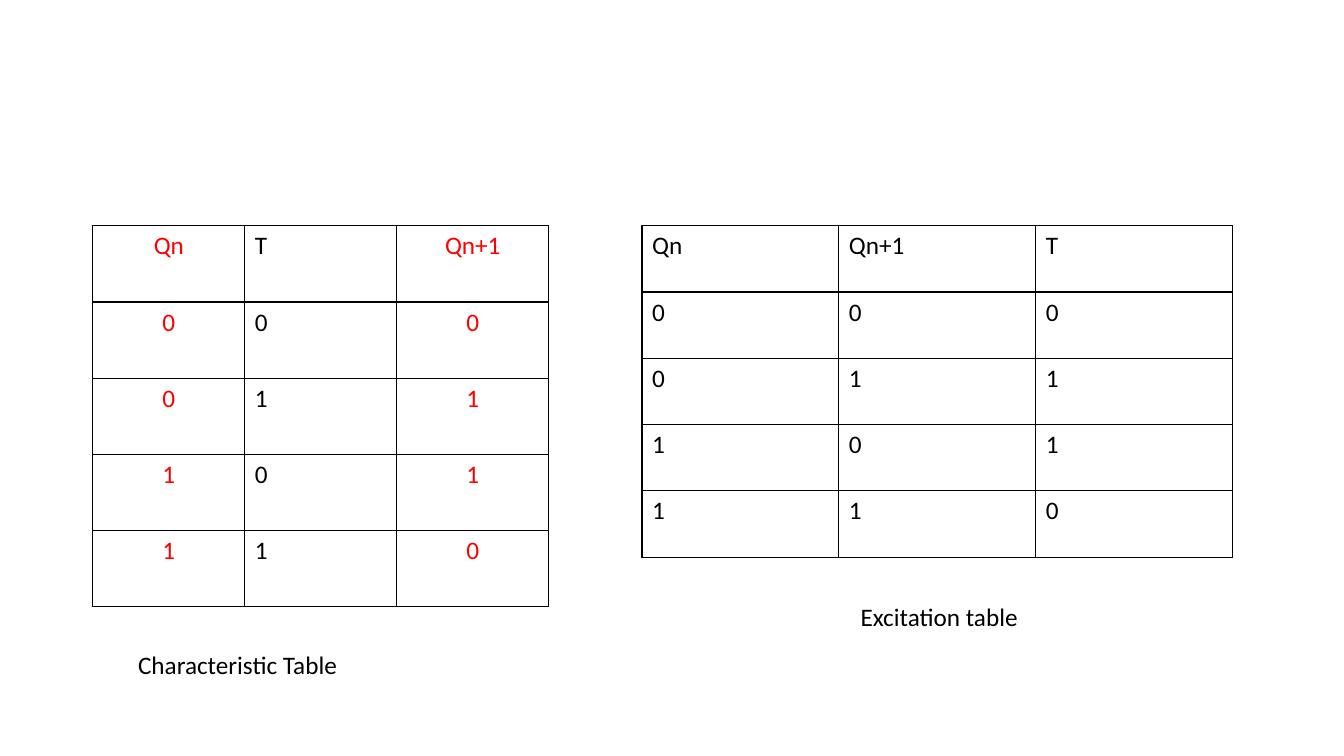
from lxml import etree
from pptx import Presentation
from pptx import util as u
from pptx.dml import color
from pptx.enum import text
from pptx.oxml import ns

HUES = {"ink": "000000", "mark": "FF0000"}


def style(para, hue):
    font = para.font
    for key, value in {"name": "Calibri", "size": u.Pt(18), "bold": False}.items():
        setattr(font, key, value)
    font.color.rgb = color.RGBColor.from_string(HUES[hue])


def border(cell):
    """Draw a thin line on all four sides of the cell."""
    props = cell._tc.get_or_add_tcPr()
    for spot, side in enumerate(("lnL", "lnR", "lnT", "lnB")):
        line = etree.Element(ns.qn(f"a:{side}"), w=str(u.Pt(1)))
        fill = etree.SubElement(line, ns.qn("a:solidFill"))
        etree.SubElement(fill, ns.qn("a:srgbClr"), val=HUES["ink"])
        props.insert(spot, line)


deck = Presentation()
deck.slide_width, deck.slide_height = u.Cm(33.87), u.Cm(19.05)
slide = deck.slides.add_slide(deck.slide_layouts[6])

# left, column width, row height, marked columns, rows
tables = [
    (2.34, 3.83, 1.92, (0, 2),
     [("Qn", "T", "Qn+1"), "000", "011", "101", "110"]),
    (16.18, 4.96, 1.67, (),
     [("Qn", "Qn+1", "T"), "000", "011", "101", "110"]),
]
for left, width, height, marked, rows in tables:
    grid = slide.shapes.add_table(
        len(rows), len(rows[0]), u.Cm(left), u.Cm(5.69),
        u.Cm(width * len(rows[0])), u.Cm(height * len(rows))).table
    grid.first_row = grid.horz_banding = False
    for r, row in enumerate(rows):
        for c, value in enumerate(row):
            cell = grid.cell(r, c)
            cell.text = value
            cell.fill.background()
            border(cell)
            para = cell.text_frame.paragraphs[0]
            style(para, "mark" if c in marked else "ink")
            if c in marked:
                para.alignment = text.PP_ALIGN.CENTER

# caption, left, top, width, wrap
captions = [
    ("Characteristic Table", 3.23, 16.23, 9.65, True),
    ("Excitation table", 21.44, 15.04, 4.47, False),
]
for words, left, top, width, wrap in captions:
    frame = slide.shapes.add_textbox(
        u.Cm(left), u.Cm(top), u.Cm(width), u.Cm(1.02)).text_frame
    frame.text = words
    frame.word_wrap = wrap
    frame.auto_size = text.MSO_AUTO_SIZE.SHAPE_TO_FIT_TEXT
    style(frame.paragraphs[0], "ink")

deck.save("out.pptx")
